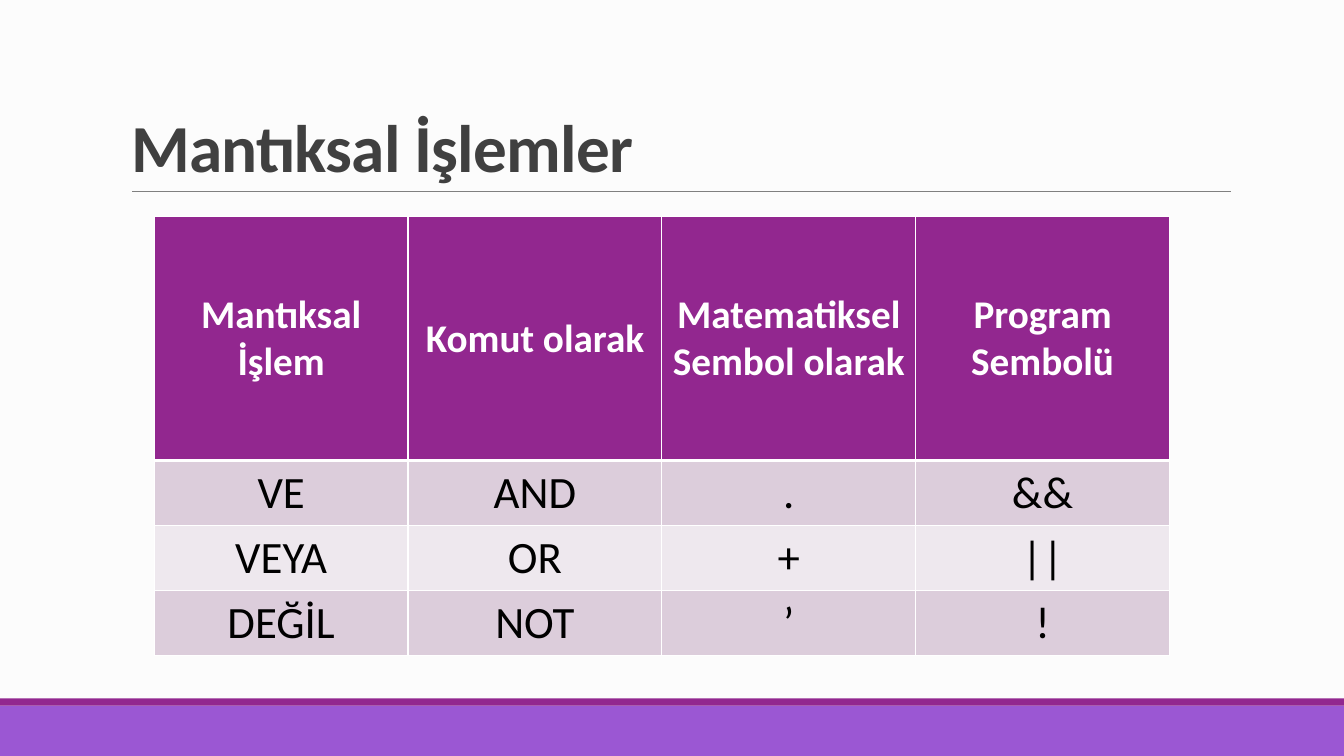
from dataclasses import dataclass

from lxml import etree
from pptx import Presentation
from pptx.dml.color import RGBColor
from pptx.enum.shapes import MSO_CONNECTOR, MSO_SHAPE
from pptx.enum.text import MSO_ANCHOR, MSO_AUTO_SIZE, PP_ALIGN
from pptx.oxml.ns import qn
from pptx.util import Inches, Pt

RECT = MSO_SHAPE.RECTANGLE
STRAIGHT = MSO_CONNECTOR.STRAIGHT
MIDDLE, BOTTOM = MSO_ANCHOR.MIDDLE, MSO_ANCHOR.BOTTOM
LEFT, CENTER = PP_ALIGN.LEFT, PP_ALIGN.CENTER
NO_AUTOFIT = MSO_AUTO_SIZE.NONE
TITLE_ONLY = 5

TITLE = "Mantıksal İşlemler"
ROWS = [
    ("Mantıksal İşlem", "Komut olarak", "Matematiksel Sembol olarak", "Program Sembolü"),
    ("VE", "AND", ".", "&&"),
    ("VEYA", "OR", "+", "||"),
    ("DEĞİL", "NOT", "’", "!"),
]

SLIDE_W, SLIDE_H = 13.33, 7.5
FOOTER_H, STRIPE_H = 0.5, 0.07
TITLE_BOX = (1.2, 0.31, 11, 1.59)
RULE = (1.31, 1.9, 12.21, 1.9)
TABLE_LEFT, TABLE_TOP, TABLE_W = 1.53, 2.15, 10.07
HEADER_H, ROW_H = 2.42, 0.64


@dataclass(frozen=True)
class Theme:
    font: str = "Calibri"
    background: str = "FCFCFC"
    footer: str = "9B57D3"
    accent: str = "92278F"
    rule: str = "808080"
    title: str = "404040"
    header_text: str = "FFFFFF"
    body_text: str = "000000"
    border: str = "FFFFFF"
    bands: tuple = ("DCCDDB", "EEE8EE")
    title_size: int = 48
    header_size: int = 28
    body_size: int = 32


THEME = Theme()


def set_fill(fill, color):
    fill.solid()
    fill.fore_color.rgb = RGBColor.from_string(color)


def style_paragraph(p, size, color, bold, align):
    p.alignment = align
    p.font.name = THEME.font
    p.font.size = Pt(size)
    p.font.bold = bold
    p.font.color.rgb = RGBColor.from_string(color)


def add_bar(s, top, height, color):
    bar = s.shapes.add_shape(RECT, 0, Inches(top), Inches(SLIDE_W), Inches(height))
    bar.shadow.inherit = False
    set_fill(bar.fill, color)
    bar.line.fill.background()


def add_rule(s):
    rule = s.shapes.add_connector(STRAIGHT, *map(Inches, RULE))
    rule.line.color.rgb = RGBColor.from_string(THEME.rule)
    rule.line.width = Pt(0.5)
    etree.SubElement(rule._element.spPr, qn("a:effectLst"))


def add_title(s):
    title = s.shapes.title
    title.left, title.top, title.width, title.height = map(Inches, TITLE_BOX)
    tf = title.text_frame
    tf.text = TITLE
    tf.word_wrap = True
    tf.auto_size = NO_AUTOFIT
    tf.vertical_anchor = BOTTOM
    p = tf.paragraphs[0]
    p.line_spacing = 0.85
    style_paragraph(p, THEME.title_size, THEME.title, True, LEFT)
    p.runs[0].font._element.set("spc", "-50")


def set_borders(cell, widths):
    """Draw cell borders; widths maps the sides L, R, T, B, in that order, to points."""
    tcPr = cell._tc.get_or_add_tcPr()
    for side, width in widths.items():
        ln = etree.SubElement(tcPr, qn(f"a:ln{side}"), w=str(Pt(width)))
        fill = etree.SubElement(ln, qn("a:solidFill"))
        etree.SubElement(fill, qn("a:srgbClr"), val=THEME.border)


def add_operations_table(s):
    heights = [HEADER_H] + [ROW_H] * (len(ROWS) - 1)
    n_cols = len(ROWS[0])
    table = s.shapes.add_table(
        len(ROWS), n_cols, Inches(TABLE_LEFT), Inches(TABLE_TOP),
        Inches(TABLE_W), Inches(sum(heights))).table
    for column in table.columns:
        column.width = Inches(TABLE_W / n_cols)

    for i, (texts, height) in enumerate(zip(ROWS, heights)):
        table.rows[i].height = Inches(height)
        header = i == 0
        if header:
            fill, size, color = THEME.accent, THEME.header_size, THEME.header_text
        else:
            fill = THEME.bands[(i - 1) % len(THEME.bands)]
            size, color = THEME.body_size, THEME.body_text
        borders = {"L": 1, "R": 1, "T": 3 if i == 1 else 1, "B": 3 if header else 1}
        for j, text in enumerate(texts):
            cell = table.cell(i, j)
            cell.text = text
            cell.vertical_anchor = MIDDLE
            set_borders(cell, borders)
            set_fill(cell.fill, fill)
            style_paragraph(cell.text_frame.paragraphs[0], size, color, header, CENTER)


def main():
    prs = Presentation()
    prs.slide_width, prs.slide_height = Inches(SLIDE_W), Inches(SLIDE_H)
    s = prs.slides.add_slide(prs.slide_layouts[TITLE_ONLY])
    set_fill(s.background.fill, THEME.background)
    footer_top = SLIDE_H - FOOTER_H
    add_bar(s, footer_top, FOOTER_H, THEME.footer)
    add_bar(s, footer_top - STRIPE_H, STRIPE_H, THEME.accent)
    add_rule(s)
    add_title(s)
    add_operations_table(s)
    prs.save("out.pptx")


if __name__ == "__main__":
    main()
